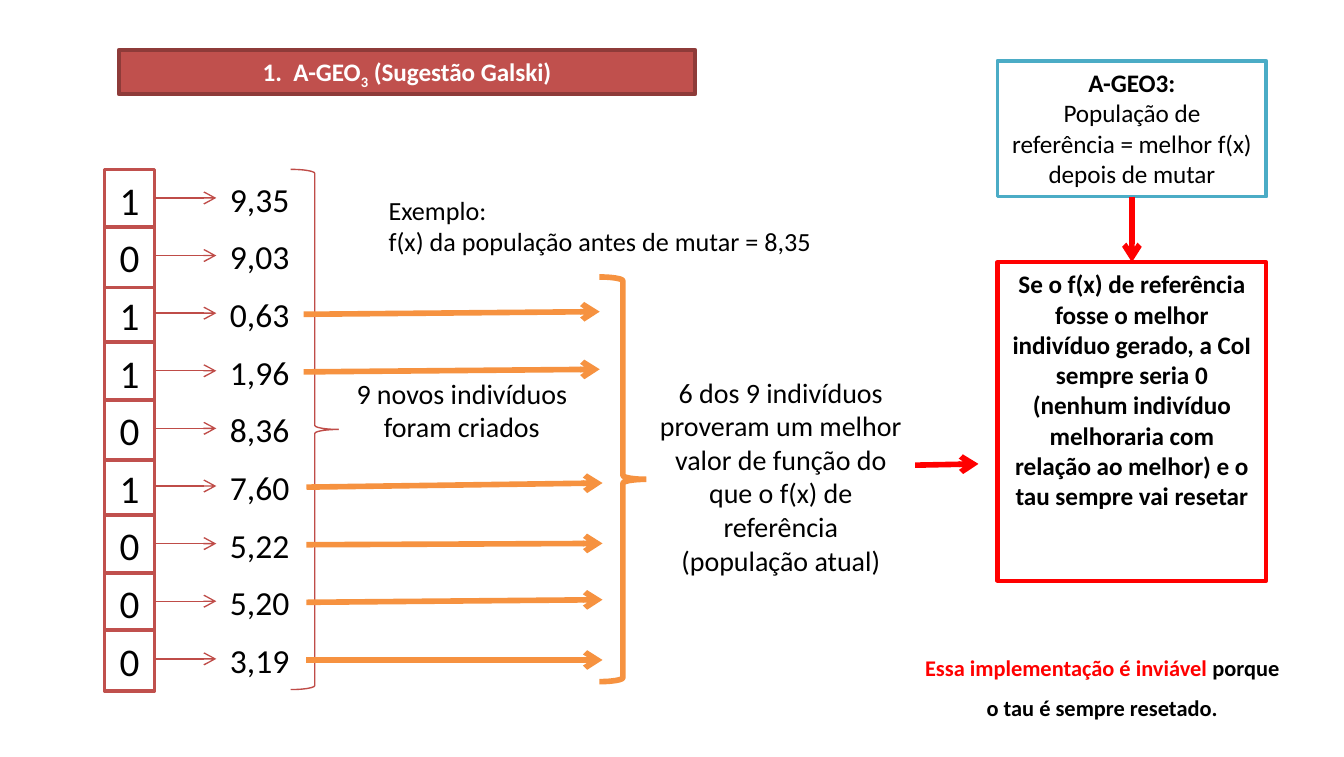
from lxml import etree
from pptx import Presentation
from pptx.dml.color import RGBColor
from pptx.enum.shapes import MSO_CONNECTOR, MSO_SHAPE
from pptx.enum.text import MSO_ANCHOR, PP_ALIGN
from pptx.oxml.ns import qn
from pptx.util import Pt

RECT = MSO_SHAPE.RECTANGLE
BRACE = MSO_SHAPE.RIGHT_BRACE
STRAIGHT = MSO_CONNECTOR.STRAIGHT
TOP = MSO_ANCHOR.TOP
LEFT, CENTER = PP_ALIGN.LEFT, PP_ALIGN.CENTER

FONT = "Calibri"
WHITE, BLACK, RED = "FFFFFF", "000000", "FF0000"
BRICK, RUST, ORANGE, TEAL = "C0504D", "BF4C48", "F69240", "4BACC6"

ROWS = [("1", "9,35"), ("0", "9,03"), ("1", "0,63"), ("1", "1,96"), ("0", "8,36"),
        ("1", "7,60"), ("0", "5,22"), ("0", "5,20"), ("0", "3,19")]
BETTER = [(2, 162.7, 1.4), (3, 162.7, 1.4), (5, 164.2, 2.2),
          (6, 164.2, 0.7), (7, 164.2, 1.4), (8, 164.2, 0)]
PITCH = 30.85


def color(code):
    return RGBColor.from_string(code)


def stroke(line, code, width):
    line.color.rgb = color(code)
    line.width = Pt(width)


def style(par, size, code=BLACK, bold=False, align=CENTER):
    par.alignment = align
    font = par.font
    font.name, font.size, font.bold = FONT, Pt(size), bold
    font.color.rgb = color(code)


def add_box(slide, place, lines, size, edge=None, width=2, fill=WHITE,
            code=BLACK, bold=False, align=CENTER):
    box = slide.shapes.add_shape(RECT, *map(Pt, place))
    box.shadow.inherit = False
    box.fill.solid()
    box.fill.fore_color.rgb = color(fill)
    if edge:
        stroke(box.line, edge, width)
    else:
        box.line.fill.background()
    frame = box.text_frame
    frame.word_wrap = True
    frame.vertical_anchor = TOP
    for i, text in enumerate(lines):
        par = frame.add_paragraph() if i else frame.paragraphs[0]
        par.text = text
        style(par, size, code, bold, align)
    return frame


def add_brace(slide, place, code, width):
    brace = slide.shapes.add_shape(BRACE, *map(Pt, place))
    brace.shadow.inherit = False
    brace.fill.background()
    stroke(brace.line, code, width)


def add_arrow(slide, start, end, code, width):
    arrow = slide.shapes.add_connector(STRAIGHT, *map(Pt, start + end))
    stroke(arrow.line, code, width)
    props = arrow.line._get_or_add_ln()
    etree.SubElement(props, qn("a:tailEnd"), type="arrow")
    etree.SubElement(arrow._element.spPr, qn("a:effectLst"))


def add_title(slide):
    frame = add_box(slide, (63.6, 26.7, 308.9, 23.8), ["1.  A-GEO"], 13.5,
                    "8E3B39", fill=BRICK, code=WHITE, bold=True)
    par = frame.paragraphs[0]
    sub = par.add_run()
    sub.text = "3"
    sub._r.get_or_add_rPr().set("baseline", "-25000")
    par.add_run().text = " (Sugestão Galski)"


def add_verdict(slide):
    box = slide.shapes.add_textbox(*map(Pt, (484.7, 339.3, 211.7, 51.1)))
    box.text_frame.word_wrap = True
    par = box.text_frame.paragraphs[0]
    style(par, 12, bold=True)
    par.line_spacing = 1.5
    par.space_after = Pt(12)
    lead = par.add_run()
    lead.text = "Essa implementação é inviável"
    lead.font.color.rgb = color(RED)
    par.add_run().text = " porque o tau é sempre resetado."


def add_rows(slide):
    cells = [(i * PITCH, bit) for i, (bit, _) in enumerate(ROWS)]
    for y, bit in sorted(cells, key=lambda cell: cell[1], reverse=True):
        add_box(slide, (56, 90.7 + y, 26.8, 32.4), [bit], 21, BRICK)
    for i, (_, value) in enumerate(ROWS):
        y = i * PITCH
        add_box(slide, (116.1, 92.2 + y, 54.7, 28.8), [value], 18, align=LEFT)
        add_arrow(slide, (82.8, 106 + y), (115.9, 106 + y), RUST, 0.75)


def main():
    deck = Presentation()
    deck.slide_width, deck.slide_height = Pt(720), Pt(405.36)
    slide = deck.slides.add_slide(deck.slide_layouts[6])

    add_rows(slide)
    add_box(slide, (201.1, 100.6, 276.5, 41),
            ["Exemplo:", "f(x) da população antes de mutar = 8,35"], 14, align=LEFT)
    add_brace(slide, (155.7, 90.7, 25.9, 278.6), RUST, 0.75)
    add_box(slide, (181.6, 198, 131.8, 61.9),
            ["9 novos indivíduos", "foram criados"], 15)
    frame = add_box(slide, (534.4, 32.6, 144, 72.7),
                    ["A-GEO3:", "População de referência = melhor f(x) depois de mutar"],
                    13.5, TEAL)
    frame.paragraphs[0].font.bold = True

    for row, x, rise in BETTER:
        y = 106.6 + row * PITCH
        add_arrow(slide, (x, y), (x + 158.6, y - rise), ORANGE, 3)
    add_brace(slide, (321.1, 148.3, 25.2, 216.7), ORANGE, 3)
    add_box(slide, (346.3, 197.3, 144, 115.9),
            ["6 dos 9 indivíduos proveram um melhor valor de função do que "
             "o f(x) de referência (população atual)"], 15)
    add_arrow(slide, (490.3, 249.1), (524.2, 248.4), RED, 3)
    add_arrow(slide, (606.4, 105.3), (606.4, 140.4), RED, 3)
    add_box(slide, (534.4, 140.4, 144, 170.6),
            ["Se o f(x) de referência fosse o melhor indivíduo gerado, a CoI "
             "sempre seria 0 (nenhum indivíduo melhoraria com relação ao melhor) "
             "e o tau sempre vai resetar"], 13.5, RED, 2.25, bold=True)
    add_title(slide)
    add_verdict(slide)
    deck.save("out.pptx")


if __name__ == "__main__":
    main()
